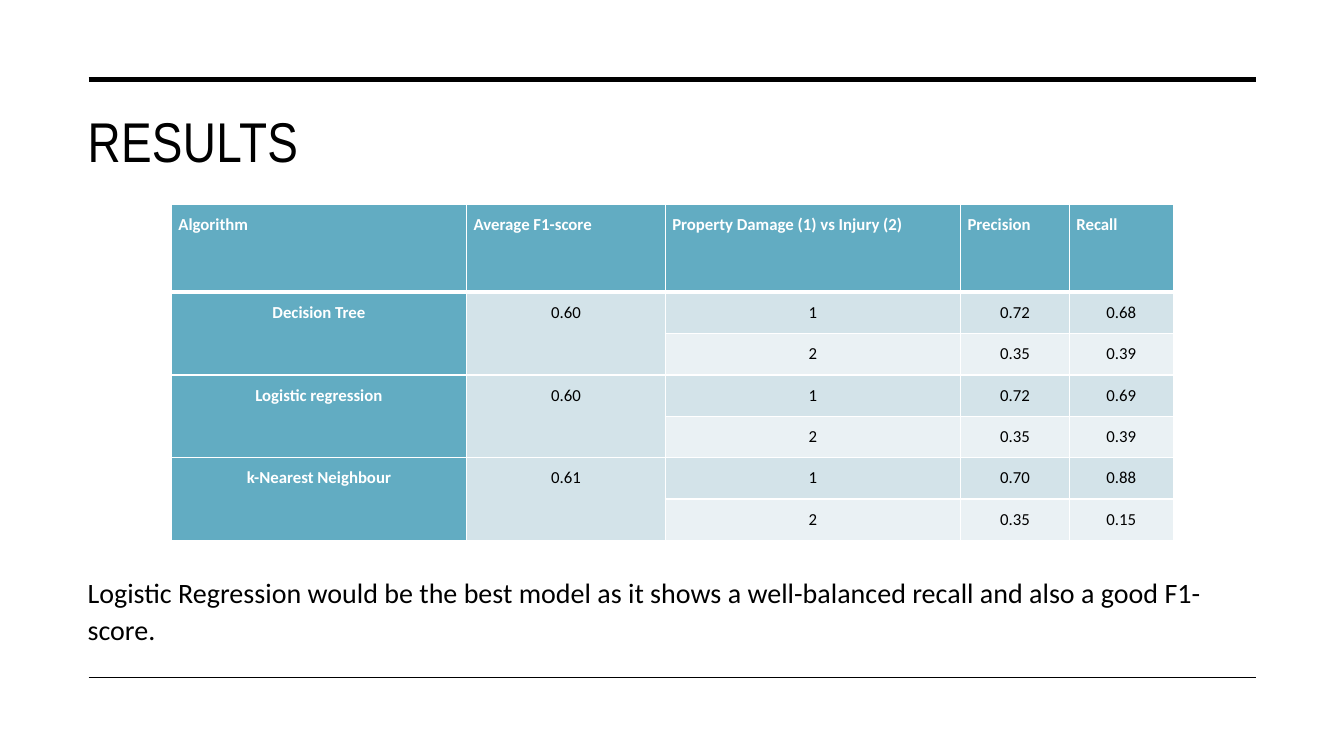
from lxml import etree
from pptx import Presentation
from pptx.dml.color import RGBColor
from pptx.enum.shapes import MSO_CONNECTOR
from pptx.enum.text import MSO_ANCHOR, PP_ALIGN
from pptx.oxml.ns import qn
from pptx.util import Emu, Inches, Pt

STRAIGHT = MSO_CONNECTOR.STRAIGHT
TOP = MSO_ANCHOR.TOP
LEFT, CENTER, JUSTIFY = PP_ALIGN.LEFT, PP_ALIGN.CENTER, PP_ALIGN.JUSTIFY

SLIDE_W, SLIDE_H = Inches(13.333), Inches(7.5)
HEAD_FONT, BODY_FONT = "Arial Narrow", "Calibri"
BLACK, WHITE = "000000", "FFFFFF"
TEAL, BAND_DARK, BAND_LIGHT = "62ACC2", "D3E3E9", "EAF1F4"

# Percentages of the slide's size
RULE_LEFT, RULE_RIGHT = 6.6, 93.45
TEXT_LEFT, TEXT_WIDTH = 5.78, 87.68
TABLE_LEFT, TABLE_TOP = 12.75, 27.07
COLUMN_WIDTHS = [21.97, 14.78, 21.97, 8.1, 7.73]
HEADER_HEIGHT, ROW_HEIGHT = 11.6, 5.47

HEADERS = ["Algorithm", "Average F1-score",
           "Property Damage (1) vs Injury (2)", "Precision", "Recall"]
# Algorithm, average F1-score, then (precision, recall) for each class
RESULTS = [
    ("Decision Tree", "0.60", [("0.72", "0.68"), ("0.35", "0.39")]),
    ("Logistic regression", "0.60", [("0.72", "0.69"), ("0.35", "0.39")]),
    ("k-Nearest Neighbour", "0.61", [("0.70", "0.88"), ("0.35", "0.15")]),
]
CONCLUSION = ("Logistic Regression would be the best model as it shows a "
              "well-balanced recall and also a good F1-score.")


def across(percent):
    return Emu(round(SLIDE_W * percent / 100))


def down(percent):
    return Emu(round(SLIDE_H * percent / 100))


def rgb(color):
    return RGBColor.from_string(color)


def add_rule(slide, y, weight):
    rule = slide.shapes.add_connector(
        STRAIGHT, across(RULE_LEFT), down(y), across(RULE_RIGHT), down(y))
    rule.line.color.rgb = rgb(BLACK)
    rule.line.width = Pt(weight)
    etree.SubElement(rule.line._get_or_add_ln().getparent(), qn("a:effectLst"))


def write(frame, text, size, font=BODY_FONT, color=BLACK, bold=False,
          align=LEFT, spacing=1.0):
    paragraph = frame.paragraphs[0]
    paragraph.alignment = align
    paragraph.line_spacing = spacing
    run = paragraph.add_run()
    run.text = text
    run.font.size = Pt(size)
    run.font.name = font
    run.font.bold = bold
    run.font.color.rgb = rgb(color)
    return paragraph


def add_text(slide, y, height, text, size, **style):
    box = slide.shapes.add_textbox(
        across(TEXT_LEFT), down(y), across(TEXT_WIDTH), down(height))
    box.text_frame.word_wrap = True
    box.text_frame.vertical_anchor = TOP
    return write(box.text_frame, text, size, **style)


def add_borders(cell, top, bottom):
    properties = cell._tc.get_or_add_tcPr()
    for side, weight in (("L", 1), ("R", 1), ("T", top), ("B", bottom)):
        border = etree.SubElement(properties, qn("a:ln" + side), w=str(Pt(weight)))
        fill = etree.SubElement(border, qn("a:solidFill"))
        etree.SubElement(fill, qn("a:srgbClr"), val=WHITE)


def style_cell(cell, fill, top=1, bottom=1):
    cell.margin_left = cell.margin_right = Inches(0.07)
    cell.margin_top = cell.margin_bottom = 0
    cell.vertical_anchor = TOP
    add_borders(cell, top, bottom)
    cell.fill.solid()
    cell.fill.fore_color.rgb = rgb(fill)


def write_cell(cell, text, color=BLACK, bold=False, align=CENTER):
    write(cell.text_frame, text, 12, color=color, bold=bold, align=align,
          spacing=1.5)


def add_results_table(slide):
    heights = [HEADER_HEIGHT] + [ROW_HEIGHT] * (2 * len(RESULTS))
    table = slide.shapes.add_table(
        len(heights), len(HEADERS), across(TABLE_LEFT), down(TABLE_TOP),
        across(sum(COLUMN_WIDTHS)), down(sum(heights))).table
    for column, width in zip(table.columns, COLUMN_WIDTHS):
        column.width = across(width)
    for row, height in zip(table.rows, heights):
        row.height = down(height)

    # Header row
    for column, header in enumerate(HEADERS):
        cell = table.cell(0, column)
        style_cell(cell, TEAL, bottom=3)
        write_cell(cell, header, WHITE, True, JUSTIFY)

    # Two class rows for each algorithm
    for index, (algorithm, f1_score, classes) in enumerate(RESULTS):
        first = 1 + 2 * index
        for offset, scores in enumerate(classes):
            row = first + offset
            band = (BAND_DARK, BAND_LIGHT)[offset]
            fills = [TEAL, BAND_DARK, band, band, band]
            for column, fill in enumerate(fills):
                style_cell(table.cell(row, column), fill, top=3 if row == 1 else 1)
            for column, value in enumerate((str(offset + 1), *scores), start=2):
                write_cell(table.cell(row, column), value)
        for column in (0, 1):
            table.cell(first, column).merge(table.cell(first + 1, column))
        write_cell(table.cell(first, 0), algorithm, WHITE, True)
        write_cell(table.cell(first, 1), f1_score)


def main():
    deck = Presentation()
    deck.slide_width, deck.slide_height = SLIDE_W, SLIDE_H
    slide = deck.slides.add_slide(deck.slide_layouts[6])

    # Frame rules
    add_rule(slide, 10.53, 3.5)
    add_rule(slide, 89.6, 1)

    # Title, slightly letter-spaced
    title = add_text(slide, 13.47, 20, "RESULTS", 40, font=HEAD_FONT)
    title.runs[0]._r.get_or_add_rPr().set("spc", "30")

    # Conclusion and table
    conclusion = add_text(slide, 75.07, 11.33, CONCLUSION, 20, spacing=1.1)
    conclusion.space_before = Pt(10)
    add_results_table(slide)

    deck.save("out.pptx")


main()
